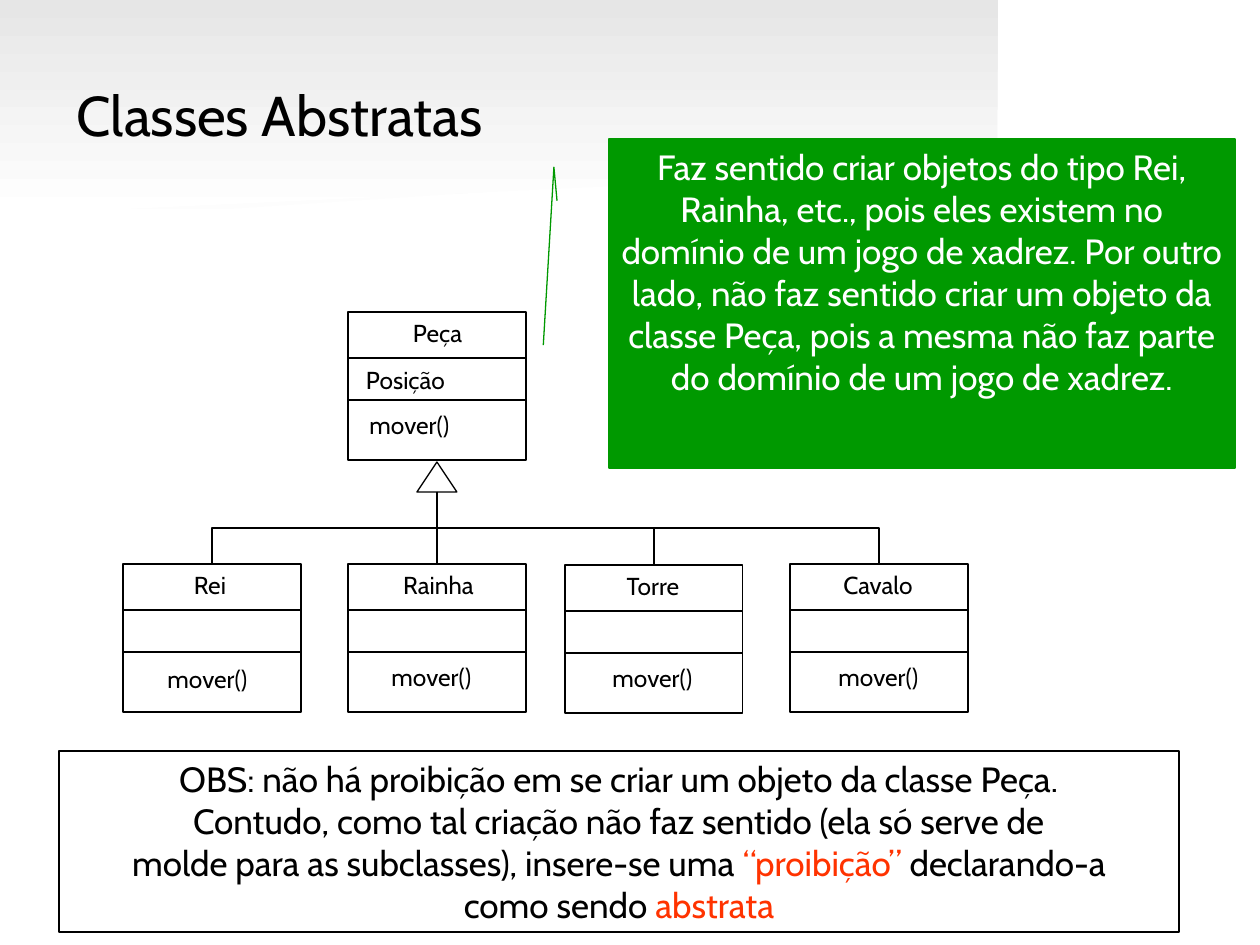
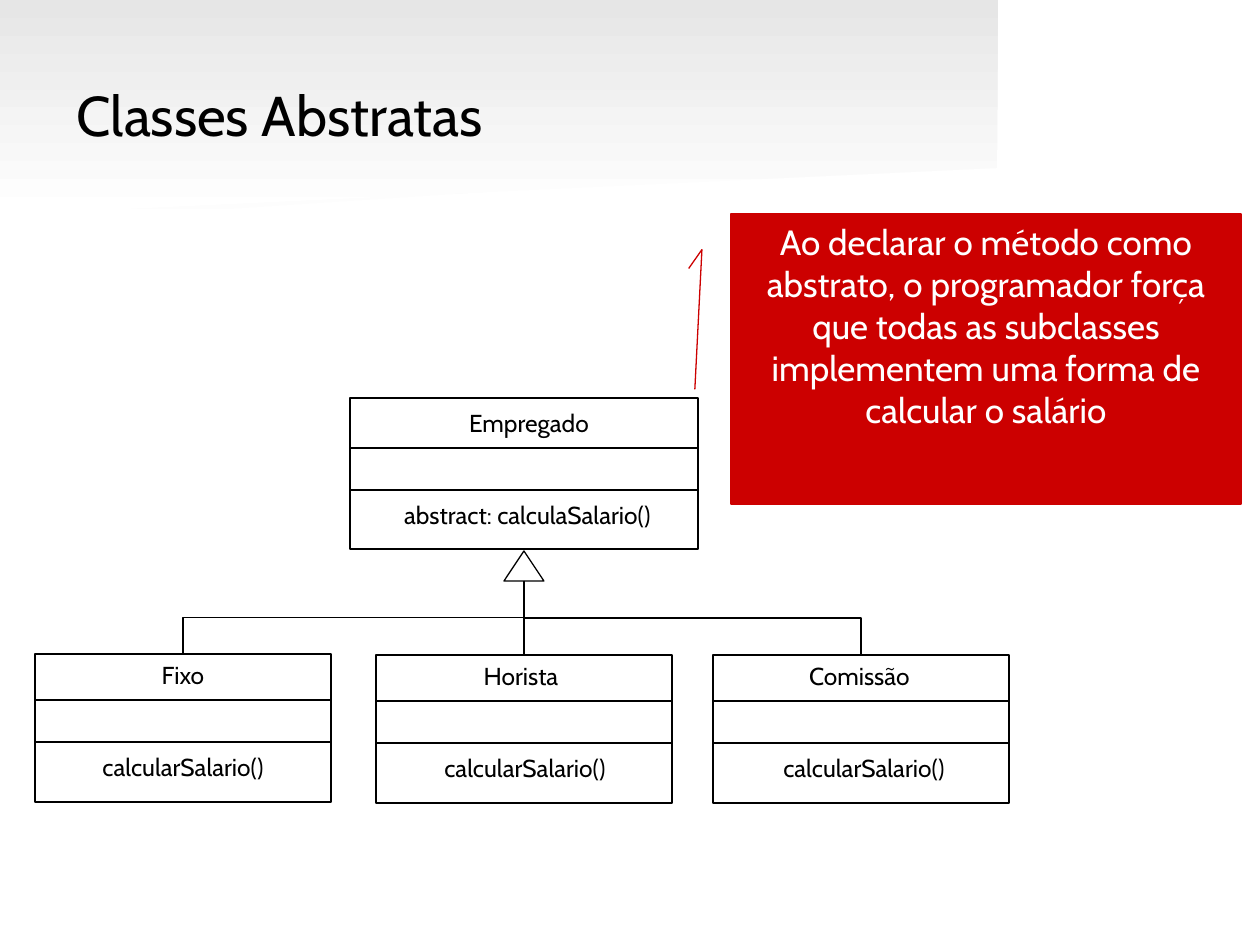
"""Build two slides on abstract classes with UML class diagrams."""
from lxml import etree
from pptx import Presentation
from pptx.dml.color import RGBColor
from pptx.enum.shapes import MSO_CONNECTOR, MSO_SHAPE
from pptx.enum.text import MSO_ANCHOR, PP_ALIGN
from pptx.oxml.ns import qn
from pptx.util import Pt

PX = 7257
BLACK, WHITE, GREEN, RED, ORANGE = "000000", "FFFFFF", "009900", "CC0000", "FF3300"
FONT = "Cabin"
CENTER, LEFT = PP_ALIGN.CENTER, PP_ALIGN.LEFT
MIDDLE, TOP = MSO_ANCHOR.MIDDLE, MSO_ANCHOR.TOP
RECTANGLE, TRIANGLE = MSO_SHAPE.RECTANGLE, MSO_SHAPE.ISOSCELES_TRIANGLE
CALLOUT = MSO_SHAPE.LINE_CALLOUT_2
STRAIGHT, ELBOW = MSO_CONNECTOR.STRAIGHT, MSO_CONNECTOR.ELBOW
LINE_WIDTH = Pt(0.75)
LABEL_HEIGHT = 43
TRIANGLE_WIDTH, TRIANGLE_HEIGHT, TRIANGLE_GAP = 40, 30, 3
DIVIDER_GAP = 42

BANDS = [
    ("F0F0F0", [(980, 159), (0, 224), (0, 105), (982, 105), (980, 132)]),
    ("E6E6E6", [(997, 168), (0, 215), (0, 0), (998, 0)]),
]

# Class boxes: left, top, width, height, first divider. Labels: text, left, top, width.
DIAGRAMS = [
    {
        "parent": (348, 312, 178, 148, 46),
        "children": [(123, 564, 178, 148, 46), (348, 564, 178, 148, 46),
                     (565, 565, 178, 148, 46), (790, 564, 178, 148, 46)],
        "middle": 1,
        "labels": [
            ("Peça", 398, 312, 79), ("Posição", 349, 359, 113), ("mover()", 353, 404, 113),
            ("Rei", 180, 564, 60), ("mover()", 151, 658, 113),
            ("Rainha", 386, 564, 105), ("mover()", 375, 656, 113),
            ("Torre", 609, 565, 88), ("mover()", 596, 657, 113),
            ("Cavalo", 827, 564, 102), ("mover()", 822, 656, 113),
        ],
        "callout": (609, 139, 626, 329),
        "pointer": (0.188, -0.083, 0.086, -0.088, 0.627, -0.105),
        "callout_color": GREEN,
        "callout_text": "Faz sentido criar objetos do tipo Rei, Rainha, etc., pois eles existem "
                        "no domínio de um jogo de xadrez. Por outro lado, não faz sentido criar "
                        "um objeto da classe Peça, pois a mesma não faz parte do domínio de um "
                        "jogo de xadrez.",
        "note": [
            [("OBS: não há proibição em se criar um objeto da classe Peça.", BLACK)],
            [("Contudo, como tal criação não faz sentido (ela só serve de", BLACK)],
            [("molde para as subclasses), insere-se uma ", BLACK), ("“proibição”", ORANGE),
             (" declarando-a", BLACK)],
            [("como sendo ", BLACK), ("abstrata", ORANGE)],
        ],
    },
    {
        "parent": (350, 398, 348, 151, 50),
        "children": [(35, 654, 296, 148, 46), (376, 655, 296, 148, 46),
                     (713, 655, 296, 148, 46)],
        "middle": 1,
        "labels": [
            ("Empregado", 449, 402, 160), ("abstract: calculaSalario()", 375, 494, 305),
            ("Fixo", 147, 654, 72), ("calcularSalario()", 79, 746, 208),
            ("Horista", 467, 655, 108), ("calcularSalario()", 421, 747, 208),
            ("Comissão", 791, 655, 137), ("calcularSalario()", 760, 747, 208),
        ],
        "callout": (731, 214, 510, 290),
        "pointer": (0.188, -0.083, 0.123, -0.057, 0.605, -0.071),
        "callout_color": RED,
        "callout_text": "Ao declarar o método como abstrato, o programador força que todas as "
                        "subclasses implementem uma forma de calcular o salário",
        "note": [],
    },
]


def add_outlined(slide, kind, box, color=BLACK, fill=None):
    """Add a preset shape with a thin outline and an optional fill."""
    shape = slide.shapes.add_shape(kind, *[value * PX for value in box])
    shape.shadow.inherit = False
    shape.line.color.rgb = RGBColor.from_string(color)
    shape.line.width = LINE_WIDTH
    if fill:
        shape.fill.solid()
        shape.fill.fore_color.rgb = RGBColor.from_string(fill)
    else:
        shape.fill.background()
    return shape


def write(shape, lines, size, align=CENTER, anchor=TOP, wrap=True):
    """Write lines, each a list of text and colour pairs, into a shape."""
    frame = shape.text_frame
    frame.word_wrap = wrap
    frame.vertical_anchor = anchor
    for index, line in enumerate(lines):
        paragraph = frame.add_paragraph() if index else frame.paragraphs[0]
        paragraph.alignment = align
        for text, color in line:
            run = paragraph.add_run()
            run.text = text
            run.font.name = FONT
            run.font.size = Pt(size)
            run.font.color.rgb = RGBColor.from_string(color)


presentation = Presentation()
presentation.slide_width = 1260 * PX
presentation.slide_height = 945 * PX

for diagram in DIAGRAMS:
    slide = presentation.slides.add_slide(presentation.slide_layouts[6])

    for shade, points in BANDS:
        builder = slide.shapes.build_freeform(*points[0], scale=PX)
        builder.add_line_segments(points[1:], close=True)
        band = builder.convert_to_shape()
        band.shadow.inherit = False
        band.line.fill.background()
        band.fill.gradient()
        band.fill.gradient_angle = 90
        for stop, color in zip(band.fill.gradient_stops, (WHITE, shade)):
            stop.color.rgb = RGBColor.from_string(color)

    title = slide.shapes.add_textbox(64 * PX, 35 * PX, 1134 * PX, 158 * PX)
    write(title, [[("Classes Abstratas", BLACK)]], 32, LEFT, MIDDLE)

    connectors = []
    class_boxes = []
    for left, top, width, height, divider in [diagram["parent"], *diagram["children"]]:
        class_boxes.append(add_outlined(slide, RECTANGLE, (left, top, width, height)))
        for y in (top + divider, top + divider + DIVIDER_GAP):
            connectors.append(slide.shapes.add_connector(
                STRAIGHT, left * PX, y * PX, (left + width) * PX, y * PX))

    for text, left, top, width in diagram["labels"]:
        label = slide.shapes.add_textbox(left * PX, top * PX, width * PX, LABEL_HEIGHT * PX)
        write(label, [[(text, BLACK)]], 14, wrap=False)

    left, top, width, height, divider = diagram["parent"]
    trunk_x = left + width // 2
    triangle_top = top + height + TRIANGLE_GAP - 1
    trunk_y = triangle_top + TRIANGLE_HEIGHT
    add_outlined(slide, TRIANGLE, (trunk_x - TRIANGLE_WIDTH // 2, triangle_top,
                                   TRIANGLE_WIDTH, TRIANGLE_HEIGHT))

    for index, (left, top, width, height, divider) in enumerate(diagram["children"]):
        child_x = left + width // 2
        if index == diagram["middle"]:
            connector = slide.shapes.add_connector(
                STRAIGHT, trunk_x * PX, trunk_y * PX, child_x * PX, top * PX)
            connector.end_connect(class_boxes[index + 1], 0)
        else:
            drop, reach = (top - trunk_y) * PX, abs(child_x - trunk_x) * PX
            near = ((trunk_x + child_x) * PX - drop) // 2
            upper = ((trunk_y + top) * PX - reach) // 2
            to_left = child_x < trunk_x
            start, end = (near, near + drop) if to_left else (near + drop, near)
            connector = slide.shapes.add_connector(ELBOW, start, upper, end, upper + reach)
            connector.element.spPr.xfrm.rot = 90 if to_left else 270
        connectors.append(connector)

    for connector in connectors:
        connector.line.color.rgb = RGBColor.from_string(BLACK)
        connector.line.width = LINE_WIDTH
        etree.SubElement(connector.element.spPr, qn("a:effectLst"))

    color = diagram["callout_color"]
    callout = add_outlined(slide, CALLOUT, diagram["callout"], color, color)
    for index, value in enumerate(diagram["pointer"]):
        callout.adjustments[index] = value
    write(callout, [[(diagram["callout_text"], WHITE)]], 20)

    if diagram["note"]:
        note = add_outlined(slide, RECTANGLE, (59, 751, 1120, 181))
        write(note, diagram["note"], 20, wrap=False)

presentation.save("out.pptx")
